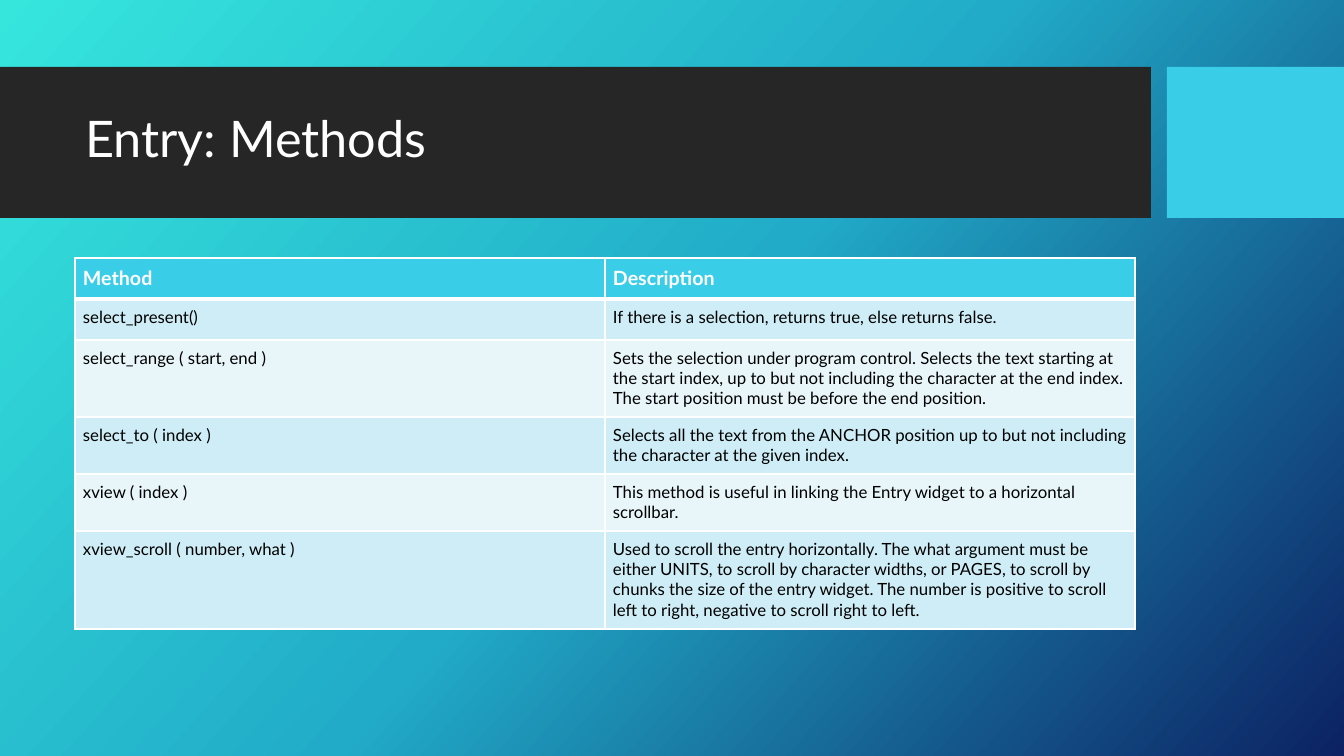
from copy import deepcopy

from pptx import Presentation
from pptx.dml.color import RGBColor
from pptx.enum.shapes import MSO_SHAPE as Preset
from pptx.enum.text import MSO_ANCHOR as Anchor, PP_ALIGN as Align
from pptx.oxml import parse_xml
from pptx.oxml.ns import nsdecls
from pptx.util import Pt

EMU_PER_PIXEL = 914400 / 100.8
FONT = "Lato"
WHITE = RGBColor(0xFF, 0xFF, 0xFF)
BLACK = RGBColor(0x00, 0x00, 0x00)
CHARCOAL = RGBColor(0x26, 0x26, 0x26)
CYAN = RGBColor(0x39, 0xCD, 0xE7)
BAND_DARK = RGBColor(0xCE, 0xED, 0xF6)
BAND_LIGHT = RGBColor(0xE8, 0xF6, 0xFA)
GRADIENT = [
    (0, RGBColor(0x36, 0xE6, 0xDD)),
    (0.5, RGBColor(0x21, 0xAB, 0xC8)),
    (1, RGBColor(0x0C, 0x22, 0x63)),
]
GRADIENT_ANGLE = 42
METHODS = [
    ("Method", "Description"),
    ("select_present()", "If there is a selection, returns true, else returns false."),
    ("select_range ( start, end )",
     "Sets the selection under program control. Selects the text starting at the start "
     "index, up to but not including the character at the end index. The start position "
     "must be before the end position."),
    ("select_to ( index )",
     "Selects all the text from the ANCHOR position up to but not including the "
     "character at the given index."),
    ("xview ( index )",
     "This method is useful in linking the Entry widget to a horizontal scrollbar."),
    ("xview_scroll ( number, what )",
     "Used to scroll the entry horizontally. The what argument must be either UNITS, to "
     "scroll by character widths, or PAGES, to scroll by chunks the size of the entry "
     "widget. The number is positive to scroll left to right, negative to scroll right "
     "to left."),
]
ROW_HEIGHTS = [41, 41, 77, 57, 57, 98]


def px(pixels):
    """Turn pixels into EMU."""
    return round(pixels * EMU_PER_PIXEL)


def set_font(paragraph, size, color, bold=False):
    """Set the font of a whole paragraph."""
    font = paragraph.font
    font.name, font.size, font.bold = FONT, Pt(size), bold
    font.color.rgb = color


def paint_background(slide):
    """Fill the slide with the diagonal three-colour gradient."""
    fill = slide.background.fill
    fill.gradient()
    fill.gradient_angle = 360 - GRADIENT_ANGLE
    stop_list = fill._fill._gradFill.gsLst
    stop_list.append(deepcopy(stop_list[-1]))
    for stop, (position, color) in zip(fill.gradient_stops, GRADIENT):
        stop.position = position
        stop.color.rgb = color


def add_bar(slide, left, top, width, height, color):
    """Add a plain rectangle."""
    bar = slide.shapes.add_shape(Preset.RECTANGLE, px(left), px(top), px(width), px(height))
    bar.shadow.inherit = False
    bar.fill.solid()
    bar.fill.fore_color.rgb = color
    bar.line.fill.background()


def add_title_band(slide, left, top, width, height, text):
    """Add the dark band, the accent block and the title on top of them."""
    accent_width, gap = 177, 16
    band_width = width - accent_width - gap
    add_bar(slide, left, top, band_width, height, CHARCOAL)
    add_bar(slide, left + width - accent_width, top, accent_width, height, CYAN)
    title = slide.shapes.title
    slide.shapes._spTree.append(title._element)
    title.left, title.top = px(left + 75), px(top + 15)
    title.width, title.height = px(1060), px(119)
    frame = title.text_frame
    frame.text = text
    frame.word_wrap = True
    frame.vertical_anchor = Anchor.MIDDLE
    paragraph = frame.paragraphs[0]
    paragraph.alignment = Align.LEFT
    paragraph.line_spacing = 0.9
    set_font(paragraph, 36, WHITE)


def add_borders(cell, top_width, bottom_width):
    """Draw white borders on the four sides of a cell."""
    widths = {"lnL": 1, "lnR": 1, "lnT": top_width, "lnB": bottom_width}
    properties = cell._tc.get_or_add_tcPr()
    for index, (side, width) in enumerate(widths.items()):
        properties.insert(index, parse_xml(
            f'<a:{side} {nsdecls("a")} w="{Pt(width)}"><a:solidFill>'
            f'<a:srgbClr val="{WHITE}"/></a:solidFill></a:{side}>'))


def add_methods_table(slide, left, top, width, rows):
    """Add the banded table with a header row."""
    columns = len(rows[0])
    table = slide.shapes.add_table(
        len(rows), columns, px(left), px(top), px(width), px(sum(ROW_HEIGHTS))).table
    for column in table.columns:
        column.width = px(width / columns)
    for row_index, (texts, height) in enumerate(zip(rows, ROW_HEIGHTS)):
        table.rows[row_index].height = px(height)
        header = row_index == 0
        band = BAND_DARK if row_index % 2 else BAND_LIGHT
        for cell, text in zip(table.rows[row_index].cells, texts):
            cell.text = text
            cell.margin_left = cell.margin_right = px(8)
            cell.margin_top = cell.margin_bottom = px(8)
            cell.fill.solid()
            cell.fill.fore_color.rgb = CYAN if header else band
            add_borders(cell, 3 if row_index == 1 else 1, 3 if header else 1)
            paragraph = cell.text_frame.paragraphs[0]
            set_font(paragraph, 14 if header else 12, WHITE if header else BLACK, header)


def build_methods_slide(presentation):
    """Build the slide that lists the Entry methods."""
    slide = presentation.slides.add_slide(presentation.slide_layouts[5])
    paint_background(slide)
    add_title_band(slide, 0, 67, 1344, 151, "Entry: Methods")
    add_methods_table(slide, 75, 258, 1060, METHODS)


presentation = Presentation()
presentation.slide_width, presentation.slide_height = px(1344), px(756)
build_methods_slide(presentation)
presentation.save("out.pptx")
